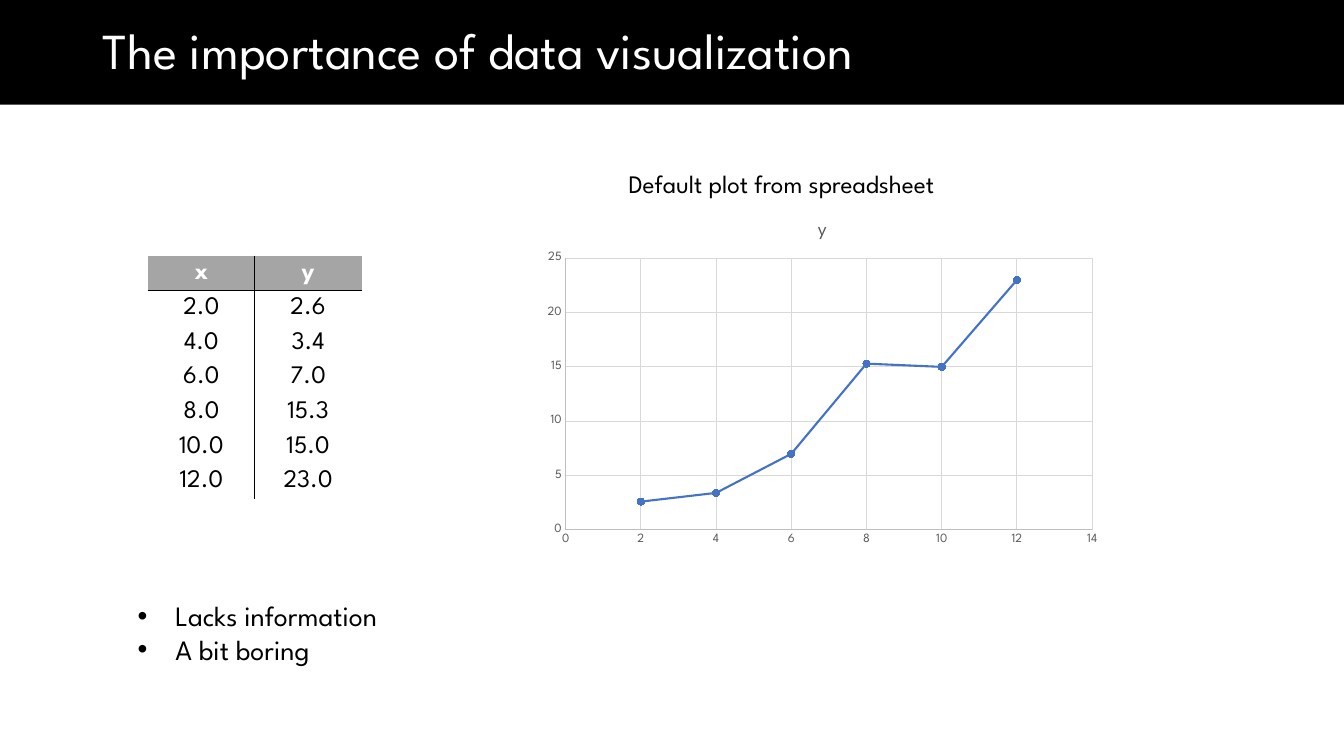
from dataclasses import dataclass

from lxml import etree
from pptx import Presentation
from pptx import util as u
from pptx.chart.data import XyChartData
from pptx.dml.color import RGBColor
from pptx.enum import chart as charts, shapes, text
from pptx.oxml import ns

BLACK = RGBColor(0x00, 0x00, 0x00)
WHITE = RGBColor(0xFF, 0xFF, 0xFF)
HEADER_GRAY = RGBColor(0xA5, 0xA5, 0xA5)
LABEL_GRAY = RGBColor(0x59, 0x59, 0x59)
AXIS_GRAY = RGBColor(0xBF, 0xBF, 0xBF)
GRID_GRAY = RGBColor(0xD9, 0xD9, 0xD9)
SERIES_BLUE = RGBColor(0x44, 0x72, 0xC4)
FONT = "League Spartan"

POINTS = [(2, 2.6), (4, 3.4), (6, 7), (8, 15.3), (10, 15), (12, 23)]


@dataclass(frozen=True)
class Box:
    left: float
    top: float
    width: float
    height: float

    def lengths(self) -> tuple:
        return tuple(u.Cm(n) for n in (self.left, self.top, self.width, self.height))


@dataclass(frozen=True)
class Note:
    box: Box
    lines: tuple
    size: float
    margin: float
    indent: float = 0
    bullet: str = ""


@dataclass(frozen=True)
class AxisScale:
    maximum: float
    step: float


SLIDE = Box(0, 0, 33.87, 19.05)
BANNER = Box(0, 0, 33.87, 2.64)
TITLE = Box(2.34, 0.05, 29.21, 2.59)
TABLE = Box(3.73, 6.45, 5.38, 6.12)
CHART = Box(13.51, 5.13, 14.43, 8.79)
NOTES = [
    Note(Box(2.82, 14.96, 27.23, 1.96), ("Lacks information", "A bit boring"),
         20, 1.35, -0.95, "•"),
    Note(Box(15.19, 4.11, 11.07, 1.02), ("Default plot from spreadsheet",), 18, 0.4),
]


def set_all(target, **values) -> None:
    for attribute, value in values.items():
        setattr(target, attribute, value)


def set_font(font, size: float, color: RGBColor, bold: bool = False) -> None:
    set_all(font, name=FONT, size=u.Pt(size), bold=bold)
    font.color.rgb = color


def set_line(line, color: RGBColor, width: float) -> None:
    line.color.rgb = color
    line.width = u.Pt(width)


def set_fill(fill, color: RGBColor) -> None:
    fill.solid()
    fill.fore_color.rgb = color


def add_title(slide) -> None:
    """Fill the title placeholder and put the black banner behind it."""
    title = slide.shapes.title
    banner = slide.shapes.add_shape(shapes.MSO_SHAPE.RECTANGLE, *BANNER.lengths())
    banner.shadow.inherit = False
    set_fill(banner.fill, BLACK)
    banner.line.fill.background()
    title.element.addprevious(banner.element)

    title.left, title.top, title.width, title.height = TITLE.lengths()
    frame = title.text_frame
    frame.text = "The importance of data visualization"
    set_all(frame, vertical_anchor=text.MSO_ANCHOR.MIDDLE, word_wrap=True,
            auto_size=text.MSO_AUTO_SIZE.NONE)
    paragraph = frame.paragraphs[0]
    set_all(paragraph, alignment=text.PP_ALIGN.LEFT, line_spacing=0.9)
    set_font(paragraph.runs[0].font, 36, WHITE)


def set_borders(cell, borders: dict) -> None:
    """Draw the given sides as (color, points) and leave the others bare."""
    properties = cell._tc.get_or_add_tcPr()
    for position, side in enumerate(("L", "R", "T", "B")):
        border = etree.Element(ns.qn(f"a:ln{side}"))
        properties.insert(position, border)
        if side in borders:
            color, width = borders[side]
            border.set("w", str(u.Pt(width)))
            fill = etree.SubElement(border, ns.qn("a:solidFill"))
            etree.SubElement(fill, ns.qn("a:srgbClr"), val=str(color))
        else:
            etree.SubElement(border, ns.qn("a:noFill"))


def add_table(slide) -> None:
    rows = [("x", "y")] + [(f"{x:.1f}", f"{y:.1f}") for x, y in POINTS]
    table = slide.shapes.add_table(len(rows), 2, *TABLE.lengths()).table
    set_all(table, first_row=False, horz_banding=False)
    rule, edge = (BLACK, 1), (HEADER_GRAY, 0.5)
    for row, values in enumerate(rows):
        header = row == 0
        for column, value in enumerate(values):
            cell = table.cell(row, column)
            cell.text = value
            set_all(cell, vertical_anchor=text.MSO_ANCHOR.MIDDLE, margin_bottom=0,
                    **{f"margin_{side}": u.Cm(0.02) for side in ("left", "right", "top")})
            paragraph = cell.text_frame.paragraphs[0]
            paragraph.alignment = text.PP_ALIGN.CENTER
            set_font(paragraph.runs[0].font, 18, WHITE if header else BLACK, header)
            inner, outer = ("R", "L") if column == 0 else ("L", "R")
            borders = {inner: rule}
            if header:
                set_fill(cell.fill, HEADER_GRAY)
                borders |= {outer: edge, "T": edge, "B": rule}
            else:
                cell.fill.background()
                if row == 1:
                    borders["T"] = rule
            set_borders(cell, borders)


def format_axis(axis, scale: AxisScale) -> None:
    set_all(axis, minimum_scale=0, maximum_scale=scale.maximum, major_unit=scale.step,
            has_major_gridlines=True, major_tick_mark=charts.XL_TICK_MARK.NONE,
            minor_tick_mark=charts.XL_TICK_MARK.NONE)
    set_all(axis.tick_labels, number_format="General", number_format_is_linked=False)
    set_font(axis.tick_labels.font, 9, LABEL_GRAY)
    set_line(axis.format.line, AXIS_GRAY, 0.75)
    set_line(axis.major_gridlines.format.line, GRID_GRAY, 0.75)


def add_chart(slide) -> None:
    data = XyChartData()
    measurements = data.add_series("y")
    for x, y in POINTS:
        measurements.add_data_point(x, y)
    chart = slide.shapes.add_chart(
        charts.XL_CHART_TYPE.XY_SCATTER_LINES, *CHART.lengths(), data).chart
    set_all(chart, has_legend=False, has_title=True)
    set_font(chart.font, 10, BLACK)
    heading = chart.chart_title
    heading.include_in_layout = False
    heading.text_frame.text = "y"
    set_font(heading.text_frame.paragraphs[0].runs[0].font, 14, LABEL_GRAY)

    format_axis(chart.category_axis, AxisScale(14, 2))
    format_axis(chart.value_axis, AxisScale(25, 5))

    plot = chart.plots[0]
    plot.vary_by_categories = False
    curve = plot.series[0]
    curve.smooth = False
    set_line(curve.format.line, SERIES_BLUE, 1.5)
    set_all(curve.marker, style=charts.XL_MARKER_STYLE.CIRCLE, size=5)
    set_fill(curve.marker.format.fill, SERIES_BLUE)
    set_line(curve.marker.format.line, SERIES_BLUE, 0.75)


def add_note(slide, note: Note) -> None:
    frame = slide.shapes.add_textbox(*note.box.lengths()).text_frame
    set_all(frame, word_wrap=True, text="\n".join(note.lines))
    for paragraph in frame.paragraphs:
        paragraph.alignment = text.PP_ALIGN.JUSTIFY
        set_font(paragraph.runs[0].font, note.size, BLACK)
        properties = paragraph._p.get_or_add_pPr()
        properties.set("marL", str(u.Cm(note.margin)))
        properties.set("indent", str(u.Cm(note.indent)))
        if note.bullet:
            etree.SubElement(properties, ns.qn("a:buFont"), typeface="Arial")
            etree.SubElement(properties, ns.qn("a:buChar"), char=note.bullet)


def main() -> None:
    deck = Presentation()
    set_all(deck, slide_width=u.Cm(SLIDE.width), slide_height=u.Cm(SLIDE.height))
    slide = deck.slides.add_slide(deck.slide_layouts.get_by_name("Title Only"))
    add_title(slide)
    add_table(slide)
    add_chart(slide)
    for note in NOTES:
        add_note(slide, note)
    deck.save("out.pptx")


if __name__ == "__main__":
    main()
